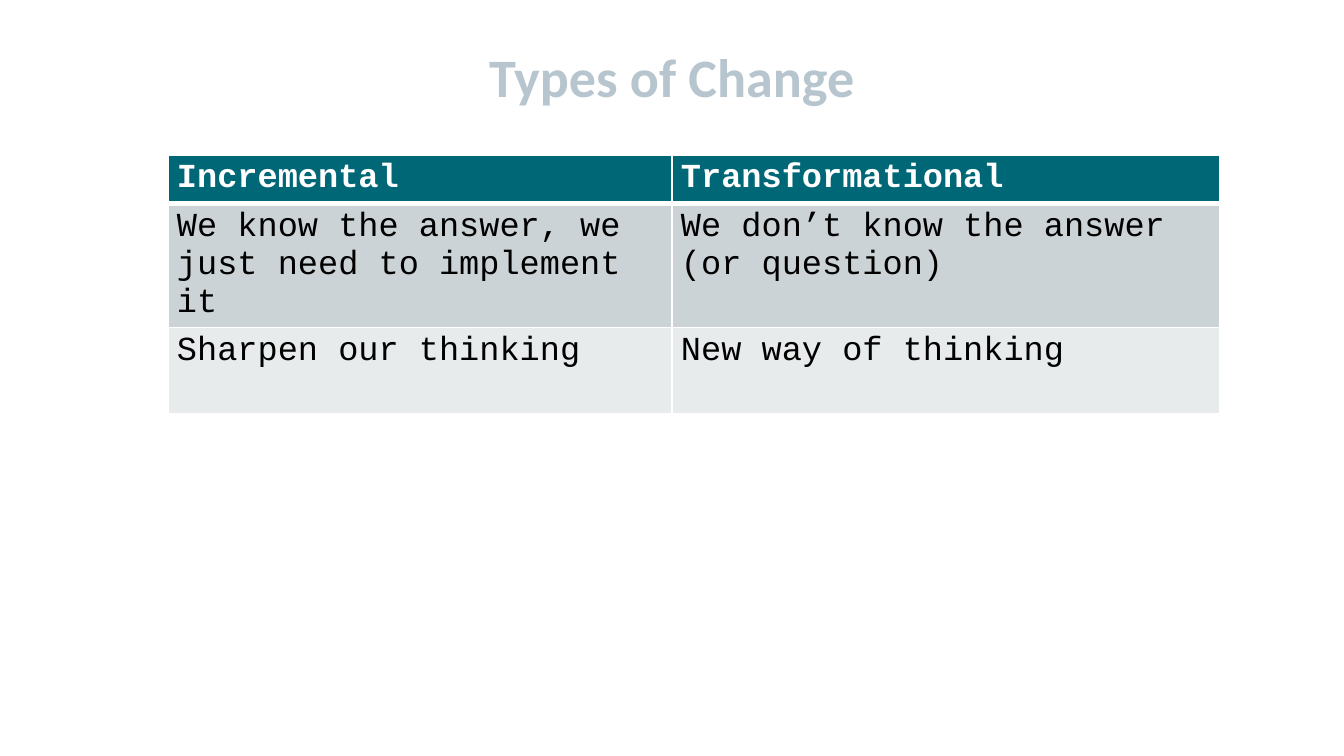
from lxml import etree
from pptx import Presentation
from pptx.dml.color import RGBColor
from pptx.enum.text import MSO_ANCHOR, PP_ALIGN
from pptx.oxml.ns import qn
from pptx.util import Pt

CENTER = PP_ALIGN.CENTER
MIDDLE = MSO_ANCHOR.MIDDLE
PX = 9144000 / 1344
TITLE_ONLY = 5

COLORS = {
    "title": "B7C5CE",
    "header": "006777",
    "header_text": "FFFFFF",
    "body_text": "000000",
    "band_dark": "CCD3D6",
    "band_light": "E7EBEC",
    "border": "FFFFFF",
}

CHANGE_TYPES = [
    ("Incremental", "Transformational"),
    ("We know the answer, we just need to implement it",
     "We don’t know the answer (or question)"),
    ("Sharpen our thinking", "New way of thinking"),
]
COLUMN_WIDTHS = (504, 548)
ROW_HEIGHTS = (47, 124, 86)
ROW_FILLS = ("header", "band_dark", "band_light")


def px(length):
    return round(length * PX)


def color(name):
    return RGBColor.from_string(COLORS[name])


def set_font(paragraph, name, size, color_name, bold):
    font = paragraph.font
    font.name = name
    font.size = Pt(size)
    font.bold = bold
    font.color.rgb = color(color_name)


def set_borders(cell, top, bottom):
    properties = cell._tc.get_or_add_tcPr()
    widths = {"a:lnL": 1, "a:lnR": 1, "a:lnT": top, "a:lnB": bottom}
    for position, (tag, width) in enumerate(widths.items()):
        line = etree.Element(qn(tag), w=str(Pt(width)))
        fill = etree.SubElement(line, qn("a:solidFill"))
        etree.SubElement(fill, qn("a:srgbClr"), val=COLORS["border"])
        properties.insert(position, line)


def place_title(slide, left, top, width, height):
    title = slide.shapes.title
    title.left, title.top = px(left), px(top)
    title.width, title.height = px(width), px(height)
    frame = title.text_frame
    frame.text = "Types of Change"
    frame.vertical_anchor = MIDDLE
    heading = frame.paragraphs[0]
    heading.alignment = CENTER
    set_font(heading, "Calibri", 29, "title", True)


def place_comparison(slide, left, top):
    table = slide.shapes.add_table(
        len(CHANGE_TYPES), len(COLUMN_WIDTHS), px(left), px(top),
        px(sum(COLUMN_WIDTHS)), px(sum(ROW_HEIGHTS))).table
    for column, width in zip(table.columns, COLUMN_WIDTHS):
        column.width = px(width)
    for row_number, entries in enumerate(CHANGE_TYPES):
        table.rows[row_number].height = px(ROW_HEIGHTS[row_number])
        is_header = row_number == 0
        text_color = "header_text" if is_header else "body_text"
        for column_number, entry in enumerate(entries):
            cell = table.cell(row_number, column_number)
            cell.text = entry
            cell.margin_left = cell.margin_right = px(9)
            cell.margin_top = cell.margin_bottom = px(5)
            cell.fill.solid()
            cell.fill.fore_color.rgb = color(ROW_FILLS[row_number])
            set_borders(cell, top=3 if row_number == 1 else 1,
                        bottom=3 if is_header else 1)
            set_font(cell.text_frame.paragraphs[0], "Courier New", 18,
                     text_color, is_header)


def main():
    presentation = Presentation()
    presentation.slide_width, presentation.slide_height = px(1344), px(756)
    slide = presentation.slides.add_slide(
        presentation.slide_layouts[TITLE_ONLY])
    place_title(slide, 67, 34, 1210, 84)
    place_comparison(slide, 168, 155)
    presentation.save("out.pptx")


if __name__ == "__main__":
    main()
